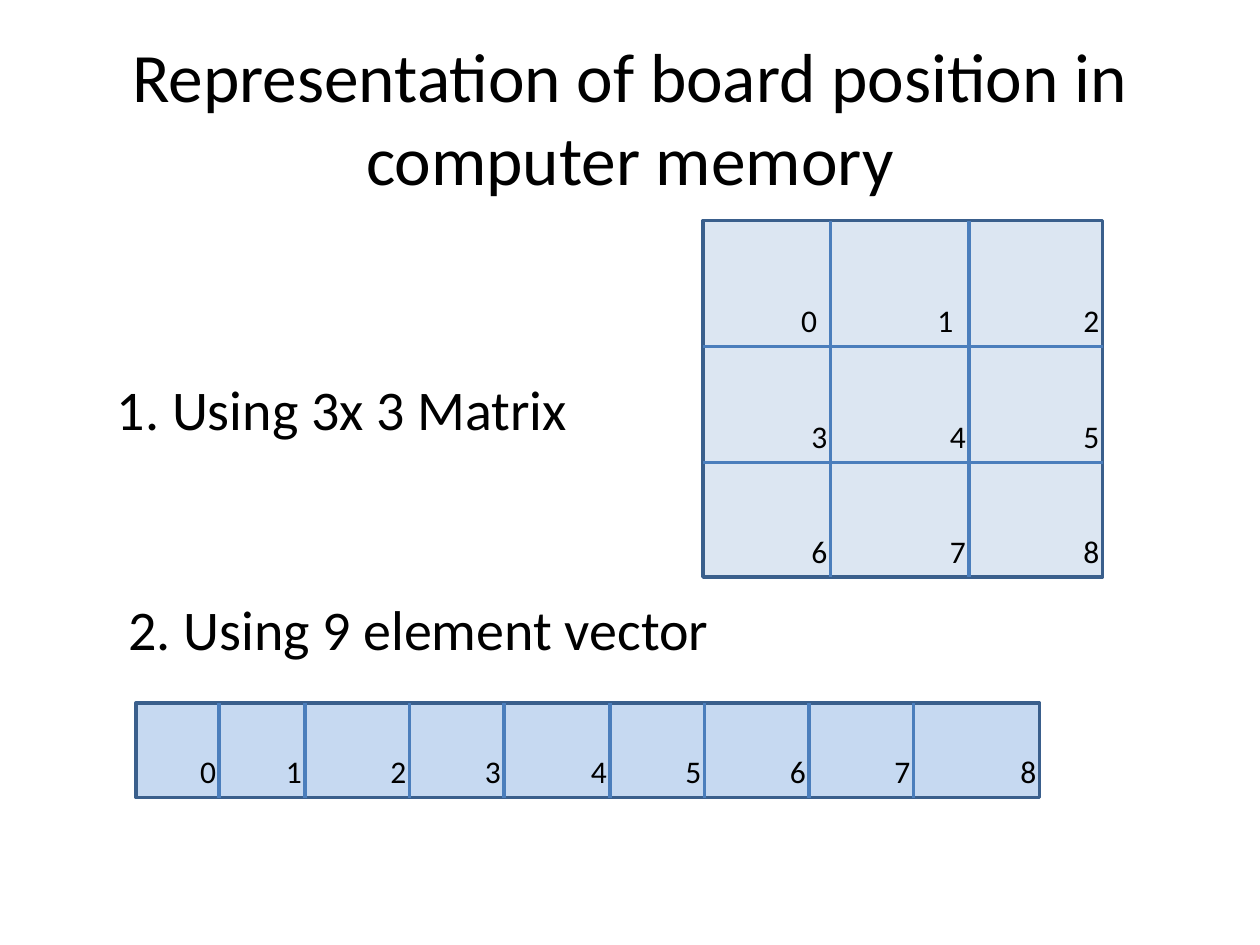
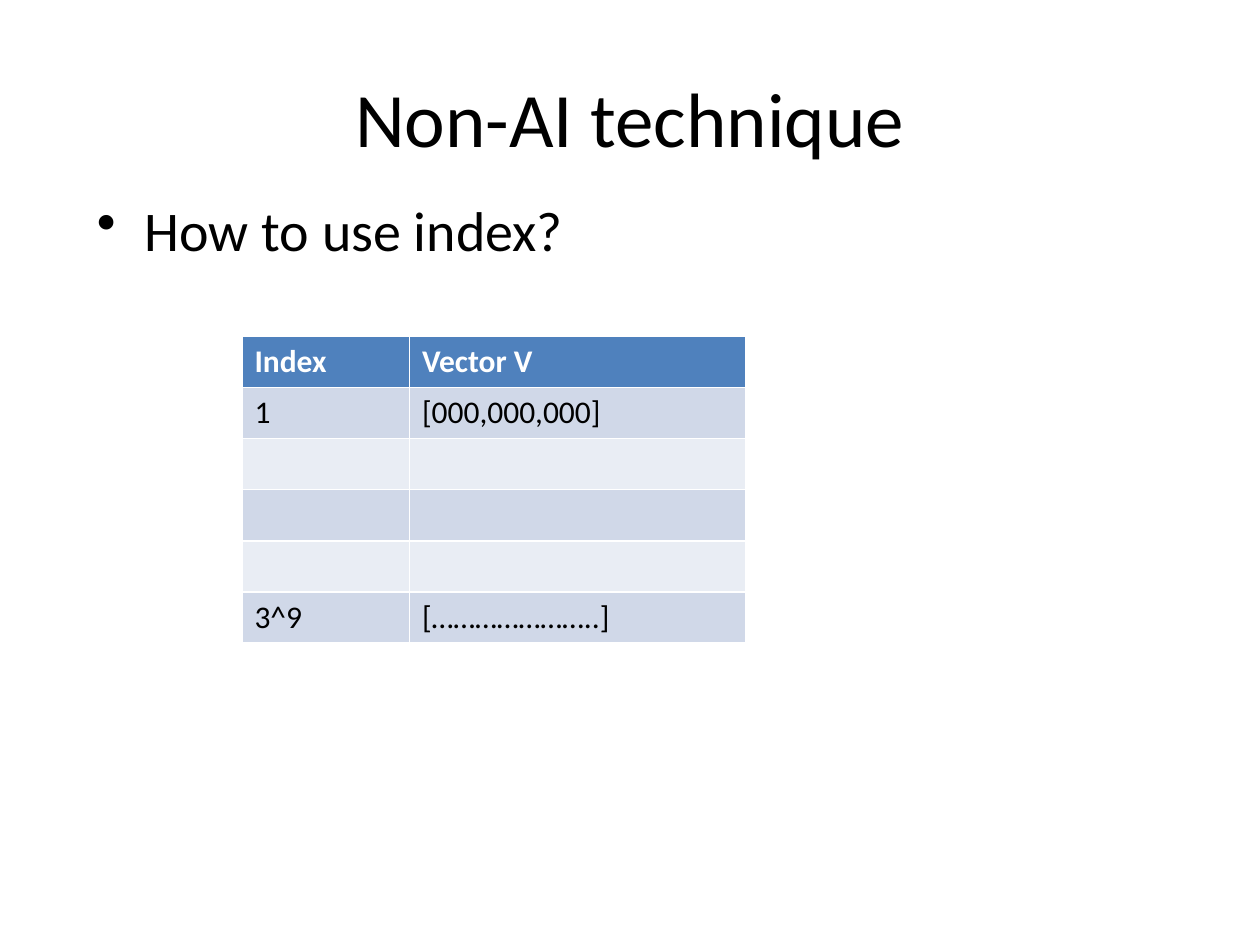
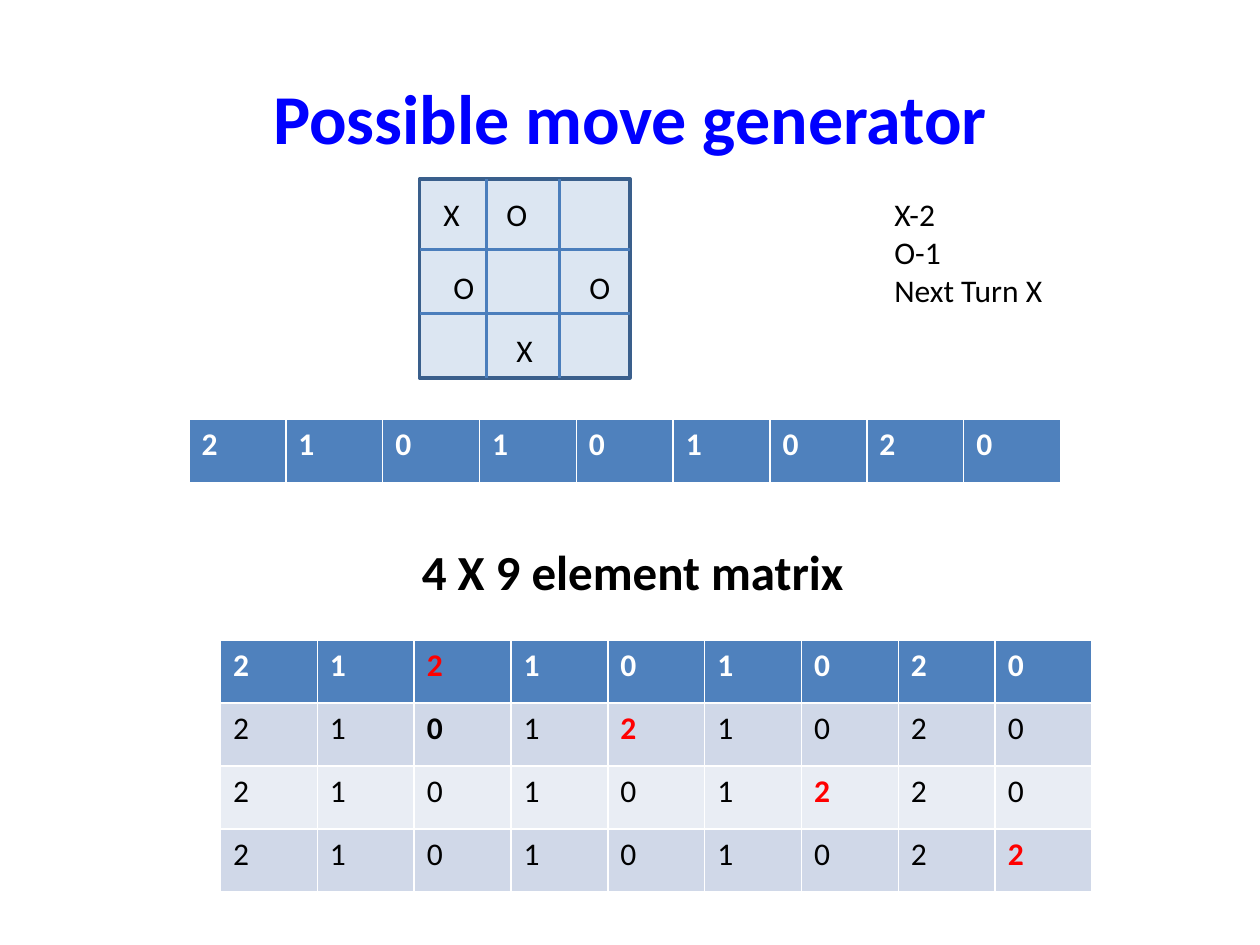
from itertools import pairwise

from lxml import etree
from pptx import Presentation
from pptx import util as u
from pptx.dml.color import RGBColor
from pptx.enum import shapes, text
from pptx.oxml import ns

FONT = "Calibri"
BLACK, WHITE, RED, BLUE = "000000", "FFFFFF", "FF0000", "0000FF"
BOARD_FILL, VECTOR_FILL = "DCE6F2", "C6D9F1"
FRAME, GRID = "3A5F8C", "4B7EBC"
HEADER, BANDS = "4F81BD", ("D0D8E8", "E9EDF4")

# Edges of the cells, in inches: columns, then rows
MATRIX = [5.58, 6.59, 7.69, 8.75], [1.75, 2.75, 3.67, 4.58]
VECTOR = [1.08, 1.74, 2.42, 3.25, 4, 4.84, 5.59, 6.42, 7.25, 8.25], [5.58, 6.33]
GAME = [3.33, 3.86, 4.44, 5], [1.42, 1.98, 2.49, 3]
MATRIX_NUDGE = {0: -0.08, 1: -0.1}  # numbers set further in from the cell edge

ITEMS = [
    ("1. Using 3x 3 Matrix", (0.83, 2.92, 4.17, 0.83)),
    ("2. Using 9 element vector", (0.92, 4.67, 5.33, 0.83)),
]
INDEX_ROWS = [
    ("Index", "Vector V"),
    ("1", "[000,000,000]"),
    ("", ""), ("", ""), ("", ""),
    ("3^9", "[………………….." + "]"),
]
INDEX_ROWS[-1] = ("3^9", "[" + "…" * 7 + "..]")
MARKS = [("X", 3.42, 1.5), ("O", 3.92, 1.5), ("O", 3.5, 2.08),
         ("O", 4.58, 2.08), ("X", 4, 2.58)]
LEGEND = ["X-2", "O-1", "Next Turn X"]
POSITION = [2, 1, 0, 1, 0, 1, 0, 2, 0]
PLAYER_X = 2


def color(value):
    """Turn a hex string into a colour."""
    return RGBColor.from_string(value)


def inches(values):
    """Turn numbers into lengths."""
    return [u.Inches(value) for value in values]


def style(paragraph, size=18, ink=BLACK, bold=False):
    """Set the font of a paragraph."""
    for name, value in dict(name=FONT, size=u.Pt(size), bold=bold).items():
        setattr(paragraph.font, name, value)
    paragraph.font.color.rgb = color(ink)


def add_text(slide, lines, box, grow=True, **font):
    """Add a text box with one paragraph for each line."""
    frame = slide.shapes.add_textbox(*inches(box)).text_frame
    frame.word_wrap = True
    frame.auto_size = (text.MSO_AUTO_SIZE.SHAPE_TO_FIT_TEXT if grow
                       else text.MSO_AUTO_SIZE.NONE)
    frame.text = "\n".join(lines)
    for paragraph in frame.paragraphs:
        style(paragraph, **font)
    return frame


def add_title(slide, title, **font):
    """Add the centred slide title."""
    frame = add_text(slide, [title], (0.5, 0.3, 9, 1.25), grow=False, **font)
    frame.vertical_anchor = text.MSO_ANCHOR.MIDDLE
    frame.paragraphs[0].alignment = text.PP_ALIGN.CENTER


def add_item(slide, item, box, bullet=None):
    """Add a body line with a hanging indent and perhaps a bullet."""
    paragraph = add_text(slide, [item], box, grow=False, size=32).paragraphs[0]
    paragraph.space_before = u.Pt(3)
    properties = paragraph._p.get_or_add_pPr()
    properties.set("marL", str(u.Inches(0.38)))
    properties.set("indent", str(u.Inches(-0.38)))
    if bullet:
        mark = etree.Element(ns.qn("a:buChar"), char=bullet)
        properties.insert_element_before(mark, "a:tabLst", "a:defRPr", "a:extLst")


def add_grid(slide, columns, rows, fill):
    """Add a framed board with its inner lines, as one group."""
    group = slide.shapes.add_group_shape().shapes
    left, right, top, bottom = columns[0], columns[-1], rows[0], rows[-1]
    board = group.add_shape(shapes.MSO_SHAPE.RECTANGLE,
                            *inches((left, top, right - left, bottom - top)))
    board.shadow.inherit = False
    board.fill.solid()
    board.fill.fore_color.rgb = color(fill)
    board.line.color.rgb = color(FRAME)
    board.line.width = u.Pt(2)
    ends = [(x, top, x, bottom) for x in columns[1:-1]]
    ends += [(left, y, right, y) for y in rows[1:-1]]
    for end in ends:
        divider = group.add_connector(shapes.MSO_CONNECTOR.STRAIGHT, *inches(end))
        divider.line.color.rgb = color(GRID)
        divider.line.width = u.Pt(2)
        etree.SubElement(divider._element.spPr, ns.qn("a:effectLst"))


def number_cells(slide, columns, rows, nudges):
    """Number the cells of a grid in their lower right corners."""
    corners = [(x, y) for y in rows[1:] for x in columns[1:]]
    for number, (x, y) in enumerate(corners):
        left = x - 0.25 + nudges.get(number, 0)
        add_text(slide, [str(number)], (left, y - 0.41, 0.25, 0.4))


def add_table(slide, rows, box, widths, accents):
    """Add a banded table; accents maps (row, column) to font settings."""
    table = slide.shapes.add_table(len(rows), len(widths), *inches(box)).table
    for column, width in zip(table.columns, widths):
        column.width = u.Inches(width)
    for r, row in enumerate(rows):
        for c, value in enumerate(row):
            cell = table.cell(r, c)
            cell.fill.solid()
            cell.fill.fore_color.rgb = color(BANDS[(r - 1) % 2] if r else HEADER)
            cell.text = str(value)
            font = dict(ink=BLACK if r else WHITE, bold=r == 0)
            style(cell.text_frame.paragraphs[0], **font | accents.get((r, c), {}))


def build_representation(slide):
    """Show the board as a matrix and as a vector."""
    add_title(slide, "Representation of board position in computer memory", size=39.6)
    for item, box in ITEMS:
        add_item(slide, item, box)
    for (columns, rows), fill, nudges in ((MATRIX, BOARD_FILL, MATRIX_NUDGE),
                                          (VECTOR, VECTOR_FILL, {})):
        add_grid(slide, columns, rows, fill)
        number_cells(slide, columns, rows, nudges)


def build_index(slide):
    """Show the index table."""
    add_item(slide, "How to use index?", (0.67, 1.5, 9, 0.58), bullet="•")
    add_title(slide, "Non-AI technique", size=44)
    add_table(slide, INDEX_ROWS, (1.92, 2.67, 4, 2.43), (1.33, 2.67), {})


def build_moves(slide):
    """Show a position and every move that X can make from it."""
    add_title(slide, "Possible move generator", size=40, ink=BLUE, bold=True)
    add_grid(slide, *GAME, BOARD_FILL)
    for mark, left, top in MARKS:
        add_text(slide, [mark], (left, top, 0.33, 0.4))

    free = [square for square, value in enumerate(POSITION) if value == 0]
    moves = [POSITION[:s] + [PLAYER_X] + POSITION[s + 1:] for s in free]
    accents = {(r, s): dict(ink=RED, bold=True) for r, s in enumerate(free)}
    accents[1, 2] = dict(bold=True)
    widths = [6.92 / len(POSITION)] * len(POSITION)
    add_table(slide, moves, (1.75, 5.08, 6.92, 2), widths, accents)
    add_text(slide, LEGEND, (7, 1.5, 1.42, 1.01))
    add_text(slide, ["4 X 9 element matrix"], (3.25, 4.25, 4.17, 0.57),
             size=28, bold=True)
    add_table(slide, [POSITION], (1.5, 3.33, 6.92, 0.5), widths, {})


deck = Presentation()
deck.slide_width, deck.slide_height = inches((10, 7.5))
for build in (build_representation, build_index, build_moves):
    build(deck.slides.add_slide(deck.slide_layouts[6]))
deck.save("out.pptx")
